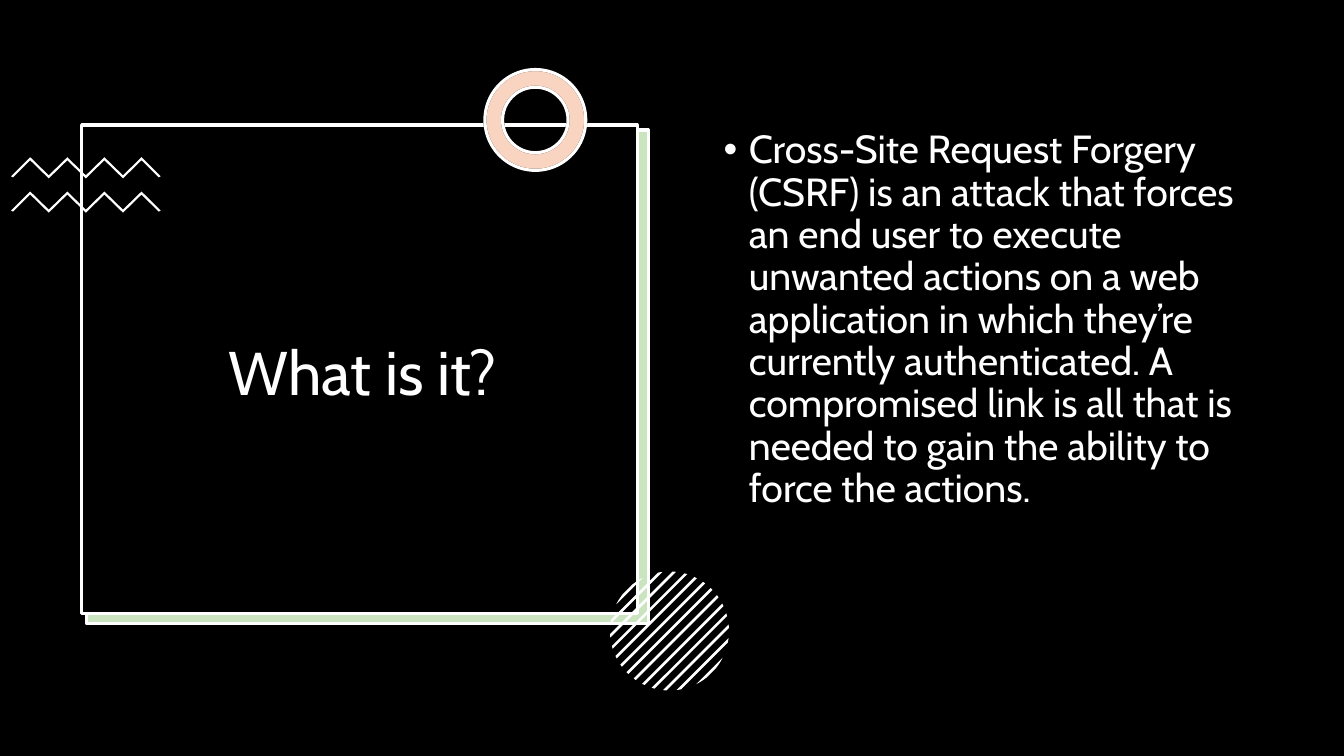
import math
from dataclasses import dataclass

import pptx
import pptx.dml.color
import pptx.enum.shapes
import pptx.enum.text
import pptx.oxml
import pptx.oxml.ns
import pptx.util

Inches = pptx.util.Inches
Preset = pptx.enum.shapes.MSO_SHAPE
Align = pptx.enum.text.PP_ALIGN
Anchor = pptx.enum.text.MSO_ANCHOR


@dataclass(frozen=True)
class Theme:
    dark: str = "000000"
    light: str = "FFFFFF"
    green: str = "4EA72E"
    orange: str = "E97132"
    tint: int = 30
    outline: float = 2.25
    font: str = "Cabin"
    title_size: int = 44
    body_size: int = 28


def rgb(color):
    return pptx.dml.color.RGBColor.from_string(color)


class SlideBuilder:
    def __init__(self, slide, theme):
        self.slide = slide
        self.theme = theme

    def paint(self, shape, fill, line=None, opacity=100):
        shape.shadow.inherit = False
        shape.fill.solid()
        shape.fill.fore_color.rgb = rgb(fill)
        if opacity < 100:
            solid = shape.fill._xPr.find(pptx.oxml.ns.qn("a:solidFill"))
            solid[0].append(pptx.oxml.parse_xml(
                f'<a:alpha {pptx.oxml.ns.nsdecls("a")} val="{opacity * 1000}"/>'))
        if line:
            shape.line.color.rgb = rgb(line)
            shape.line.width = pptx.util.Pt(self.theme.outline)
        else:
            shape.line.fill.background()

    def preset(self, kind, box, fill, line=None, opacity=100):
        shape = self.slide.shapes.add_shape(kind, *map(Inches, box))
        self.paint(shape, fill, line, opacity)
        return shape

    def group(self):
        return self.slide.shapes.add_group_shape()

    def polygon(self, group, points):
        corners = [(Inches(x), Inches(y)) for x, y in points]
        builder = group.shapes.build_freeform(*corners[0], scale=1.0)
        builder.add_line_segments(corners[1:], close=True)
        self.paint(builder.convert_to_shape(), self.theme.light)

    def zigzag(self, group, left, top, peaks=4, step=0.184, rise=0.18, weight=0.03):
        """Draw a band of even peaks, with its open ends cut square."""
        bends = [(left + 0.19 + i * step, top + rise * (i % 2))
                 for i in range(2 * peaks - 1)]
        right = bends[-1][0] + 0.19
        upper = [(left, top + 0.19), *bends, (right, top + 0.19)]
        lower = [(left + 0.02, top + 0.2),
                 *((x, y + weight) for x, y in bends),
                 (right - 0.02, top + 0.2)]
        self.polygon(group, upper + lower[::-1])

    def hatched_circle(self, center_x, center_y, radius, stripes=13,
                       pitch=0.0955, weight=0.026, arc_steps=4):
        """Fill a circle with diagonal stripes whose ends follow its edge."""
        group = self.group()
        for stripe in range(stripes):
            middle = (stripe - stripes // 2) * pitch
            offsets = [middle + weight * (i / arc_steps - 0.5)
                       for i in range(arc_steps + 1)]
            angles = [math.acos(offset / radius) for offset in offsets]
            turns = angles + [-angle for angle in reversed(angles)]
            self.polygon(group, [
                (center_x + radius * math.cos(math.pi / 4 + turn),
                 center_y + radius * math.sin(math.pi / 4 + turn))
                for turn in turns])

    def text(self, box, words, size, align, anchor):
        frame = self.slide.shapes.add_textbox(*map(Inches, box)).text_frame
        frame.word_wrap = True
        frame.vertical_anchor = anchor
        paragraph = frame.paragraphs[0]
        paragraph.text = words
        paragraph.alignment = align
        paragraph.line_spacing = 0.9
        font = paragraph.runs[0].font
        font.name = self.theme.font
        font.size = pptx.util.Pt(size)
        font.color.rgb = rgb(self.theme.light)
        return paragraph

    def bullet(self, box, words):
        paragraph = self.text(box, words, self.theme.body_size, Align.LEFT, Anchor.TOP)
        paragraph.space_before = pptx.util.Pt(10)
        properties = paragraph._p.get_or_add_pPr()
        properties.set("marL", str(Inches(0.25)))
        properties.set("indent", str(Inches(-0.25)))
        for tag in ('buFont typeface="Arial"', 'buChar char="•"'):
            properties.append(pptx.oxml.parse_xml(
                f'<a:{tag} {pptx.oxml.ns.nsdecls("a")}/>'))


def main():
    presentation = pptx.Presentation()
    presentation.slide_width = Inches(13.33)
    presentation.slide_height = Inches(7.5)
    theme = Theme()
    page = SlideBuilder(
        presentation.slides.add_slide(presentation.slide_layouts[6]), theme)

    page.preset(Preset.RECTANGLE, (0, 0, 13.33, 7.5), theme.dark)
    page.preset(Preset.RECTANGLE, (0.85, 1.3, 5.57, 4.9), theme.light)
    page.preset(Preset.RECTANGLE, (0.86, 1.29, 5.57, 4.9),
                theme.green, theme.light, theme.tint)
    page.preset(Preset.RECTANGLE, (0.81, 1.24, 5.51, 4.85), theme.dark, theme.light)

    waves = page.group()
    for top in (1.56, 1.9):
        page.zigzag(waves, 0.11, top)

    for fill, line, opacity in ((theme.light, theme.dark, 100),
                                (theme.orange, theme.light, theme.tint)):
        ring = page.preset(Preset.DONUT, (4.81, 0.69, 1, 1), fill, line, opacity)
        ring.adjustments[0] = 0.175

    page.hatched_circle(6.64, 6.26, 0.59)

    page.text((0.92, 1.52, 5.36, 4.42), "What is it?",
              theme.title_size, Align.CENTER, Anchor.MIDDLE)
    page.bullet((7.08, 1.24, 5.44, 4.76),
                "Cross-Site Request Forgery (CSRF) is an attack that forces an end "
                "user to execute unwanted actions on a web application in which "
                "they’re currently authenticated. A compromised link is all that is "
                "needed to gain the ability to force the actions.")

    presentation.save("out.pptx")


if __name__ == "__main__":
    main()
